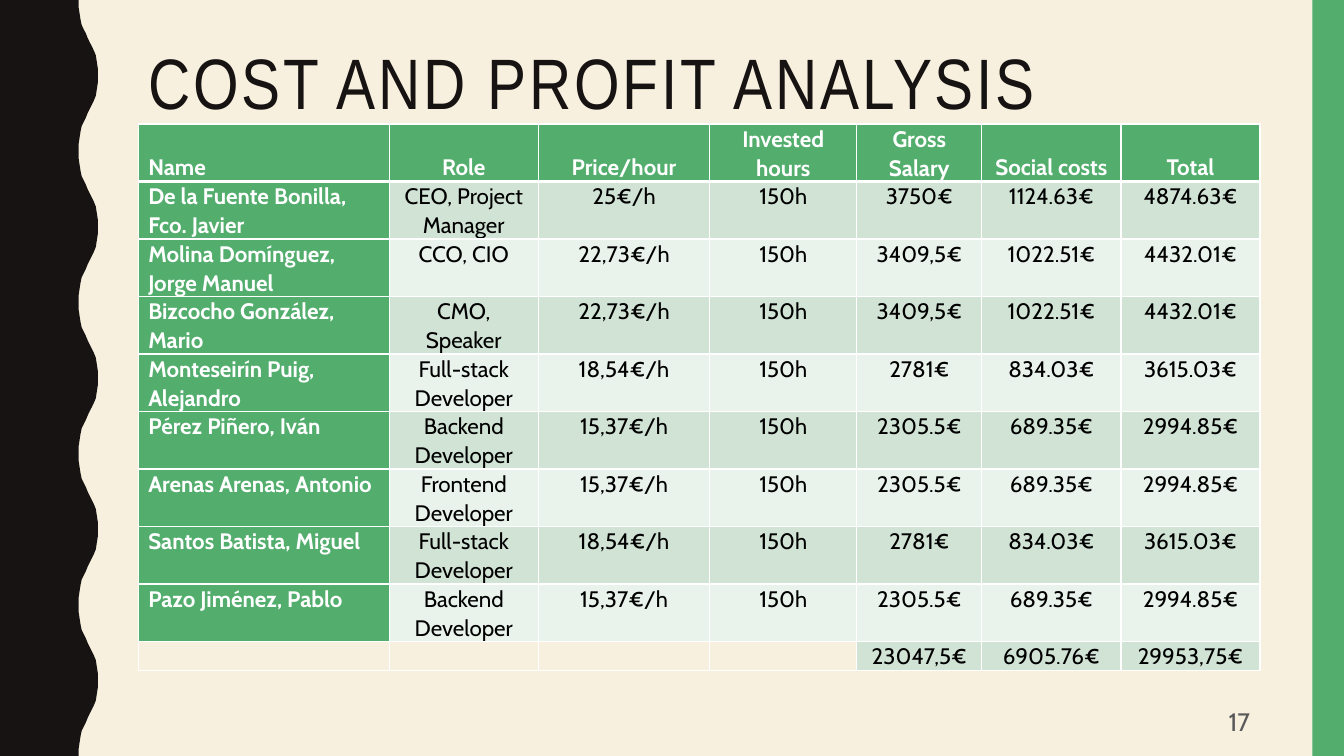
from lxml.etree import SubElement
from pptx import Presentation
from pptx.dml.color import RGBColor
from pptx.enum.shapes import MSO_SHAPE as Preset
from pptx.enum.text import MSO_ANCHOR as Anchor, MSO_AUTO_SIZE as AutoSize, PP_ALIGN as Align
from pptx.oxml.ns import qn
from pptx.util import Emu, Inches, Pt

INK = RGBColor(0x17, 0x13, 0x12)
CREAM = RGBColor(0xF7, 0xF0, 0xDF)
GREEN = RGBColor(0x53, 0xAE, 0x6E)
PALE = RGBColor(0xD1, 0xE3, 0xD5)
PALER = RGBColor(0xE9, 0xF2, 0xEB)
WHITE = RGBColor(0xFF, 0xFF, 0xFF)
BLACK = RGBColor(0, 0, 0)
GREY = RGBColor(0x59, 0x59, 0x59)

HALF_WAVE = [(5.85, 0), (5.85, 0.93), (5.93, 1.87), (6, 2.67), (6.08, 3.33),
             (6.23, 3.87), (6.38, 4.4), (6.53, 5.07), (6.68, 5.6), (6.83, 6.13),
             (6.98, 6.67), (7.13, 7.33), (7.2, 8.13), (7.28, 9.07), (7.28, 10)]

COLUMN_WIDTHS = [18.68, 11.1, 12.75, 10.95, 9.3, 10.35, 10.35]
HEADINGS = ["Name", "Role", "Price/hour", "Invested hours", "Gross Salary", "Social costs", "Total"]
LEAD = ["25€/h", "150h", "3750€", "1124.63€", "4874.63€"]
OFFICER = ["22,73€/h", "150h", "3409,5€", "1022.51€", "4432.01€"]
FULL_STACK = ["18,54€/h", "150h", "2781€", "834.03€", "3615.03€"]
JUNIOR = ["15,37€/h", "150h", "2305.5€", "689.35€", "2994.85€"]
STAFF = [
    ["De la Fuente Bonilla, Fco. Javier", "CEO, Project Manager", *LEAD],
    ["Molina Domínguez, Jorge Manuel", "CCO, CIO", *OFFICER],
    ["Bizcocho González, Mario", "CMO, Speaker", *OFFICER],
    ["Monteseirín Puig, Alejandro", "Full-stack Developer", *FULL_STACK],
    ["Pérez Piñero, Iván", "Backend Developer", *JUNIOR],
    ["Arenas Arenas, Antonio", "Frontend Developer", *JUNIOR],
    ["Santos Batista, Miguel", "Full-stack Developer", *FULL_STACK],
    ["Pazo Jiménez, Pablo", "Backend Developer", *JUNIOR],
]
TOTALS = ["", "", "", "", "23047,5€", "6905.76€", "29953,75€"]


class Deck:
    heading_font = "Arial Narrow"
    body_font = "Cabin"
    table_size = 16

    def __init__(self):
        self.deck = Presentation()
        self.deck.slide_width, self.deck.slide_height = Inches(13.33), Inches(7.5)
        self.slide = self.deck.slides.add_slide(self.deck.slide_layouts[5])
        self.slide.background.fill.solid()
        self.slide.background.fill.fore_color.rgb = CREAM

    def across(self, columns):
        return Emu(round(self.deck.slide_width * columns / 100))

    def down(self, rows):
        return Emu(round(self.deck.slide_height * rows / 100))

    def frame(self, left, top, width, height):
        return self.across(left), self.down(top), self.across(width), self.down(height)

    def add_words(self, paragraph, words, font, size, color, bold=False, align=Align.LEFT):
        paragraph.alignment = align
        run = paragraph.add_run()
        run.text = words
        run.font.name, run.font.size, run.font.bold = font, Pt(size), bold
        run.font.color.rgb = color
        return run

    def paint(self, shape, color):
        shape.shadow.inherit = False
        shape.fill.solid()
        shape.fill.fore_color.rgb = color
        shape.line.fill.background()

    def title(self, words, place):
        heading = self.slide.shapes.title
        heading.left, heading.top, heading.width, heading.height = self.frame(*place)
        text = heading.text_frame
        text.word_wrap, text.auto_size = True, AutoSize.NONE
        text.vertical_anchor = Anchor.TOP
        text.paragraphs[0].line_spacing = 0.9
        run = self.add_words(text.paragraphs[0], words, self.heading_font, 51, INK)
        run._r.get_or_add_rPr().set("spc", "200")

    def wavy_edge(self, half_waves):
        edge = [(0, 0)]
        for index in range(half_waves):
            start = 10 * index
            if index % 2:
                edge += [(x, start + 10 - y) for x, y in reversed(HALF_WAVE)]
            else:
                edge += [(x, start + y) for x, y in HALF_WAVE]
        edge.append((0, 10 * half_waves))
        points = [(self.across(x), self.down(y)) for x, y in edge]
        outline = self.slide.shapes.build_freeform(*points[0])
        outline.add_line_segments(points[1:], close=True)
        self.paint(outline.convert_to_shape(), INK)

    def band(self, place, color):
        self.paint(self.slide.shapes.add_shape(Preset.RECTANGLE, *self.frame(*place)), color)

    def page_number(self, number, place):
        text = self.slide.shapes.add_textbox(*self.frame(*place)).text_frame
        text.word_wrap, text.vertical_anchor = True, Anchor.MIDDLE
        self.add_words(text.paragraphs[0], number, self.body_font, 18, GREY, align=Align.RIGHT)

    def borders(self, cell, widths):
        properties = cell._tc.get_or_add_tcPr()
        for side, points in widths.items():
            line = SubElement(properties, qn(f"a:ln{side}"), w=str(Pt(points)))
            fill = SubElement(line, qn("a:solidFill"))
            SubElement(fill, qn("a:srgbClr"), val=str(WHITE))

    def fill_cell(self, cell, words, color, heading, first_row, first_column):
        cell.margin_top = cell.margin_bottom = 0
        cell.vertical_anchor = Anchor.BOTTOM if first_row else Anchor.TOP
        edges = {"L": 1, "R": 1, "T": 1, "B": 3} if first_row else {"L": 1, "R": 1, "B": 1}
        self.borders(cell, edges)
        paragraph = cell.text_frame.paragraphs[0]
        paragraph.line_spacing, paragraph.space_after = 1.07, Pt(6)
        if not words:
            cell.fill.background()
            SubElement(paragraph._p, qn("a:endParaRPr"), sz=str(self.table_size * 100))
            return
        cell.fill.solid()
        cell.fill.fore_color.rgb = GREEN if heading else color
        self.add_words(paragraph, words, self.body_font, self.table_size,
                       WHITE if heading else BLACK, heading,
                       Align.LEFT if first_column else Align.CENTER)

    def table(self, records, widths, heights, left, top):
        place = self.frame(left, top, sum(widths), sum(heights))
        grid = self.slide.shapes.add_table(len(records), len(widths), *place).table
        grid.first_row = grid.horz_banding = False
        for column, width in zip(grid.columns, widths):
            column.width = self.across(width)
        for r, (record, height) in enumerate(zip(records, heights)):
            grid.rows[r].height = self.down(height)
            for c, words in enumerate(record):
                self.fill_cell(grid.cell(r, c), words, PALE if r % 2 else PALER,
                               r == 0 or c == 0, r == 0, c == 0)

    def save(self):
        self.deck.save("out.pptx")


def main():
    deck = Deck()
    deck.wavy_edge(10)
    deck.band((97.65, 0, 2.35, 100), GREEN)
    deck.title("COST AND PROFIT ANALYSIS", (10.28, 5.6, 83.5, 21.73))
    deck.page_number("17", (70.65, 92.93, 23.1, 5.07))
    records = [HEADINGS, *STAFF, TOTALS]
    heights = [7.6] * (len(records) - 1) + [3.7]
    deck.table(records, COLUMN_WIDTHS, heights, 10.28, 16.4)
    deck.save()


if __name__ == "__main__":
    main()
